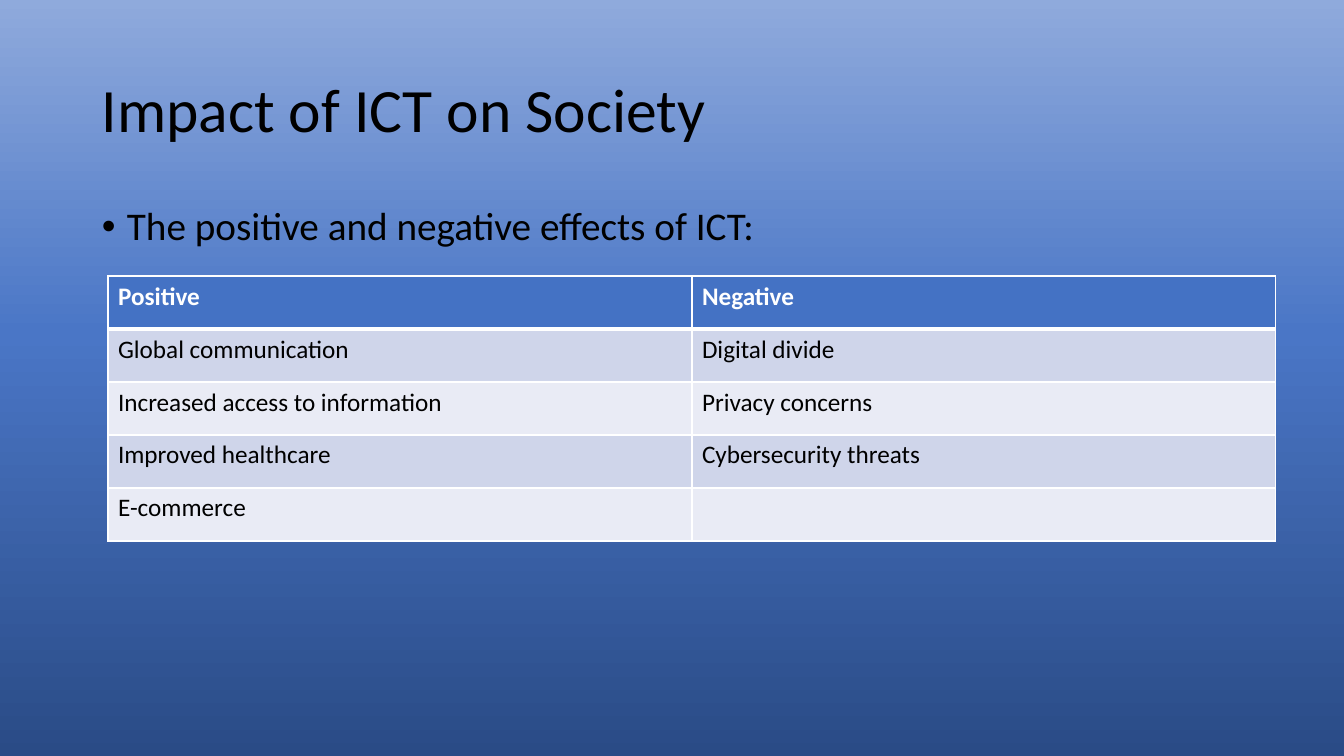
from lxml import etree
from pptx import Presentation
from pptx.dml.color import RGBColor
from pptx.enum.text import MSO_ANCHOR
from pptx.oxml.ns import qn
from pptx.util import Pt

MIDDLE = MSO_ANCHOR.MIDDLE
TOP = MSO_ANCHOR.TOP

SCALE = 12192000 / 1344
BLANK_LAYOUT = 6
BLACK, WHITE, BLUE = "000000", "FFFFFF", "4472C4"
BANDS = ("CFD5EA", "E9EBF5")
GRADIENT = ((0, "2A4B86", 100), (56, "4A76C6", 84), (100, "8FAADC", 100))
EFFECTS = (
    ("Positive", "Negative"),
    ("Global communication", "Digital divide"),
    ("Increased access to information", "Privacy concerns"),
    ("Improved healthcare", "Cybersecurity threats"),
    ("E-commerce", ""),
)


def px(length):
    return round(length * SCALE)


def color(value):
    return RGBColor.from_string(value)


def add_node(parent, tag, **attributes):
    return etree.SubElement(parent, qn(tag), attributes)


class SlideBuilder:
    """Holds the text style and the current slide, and adds elements to it."""

    def __init__(self, page, font="Calibri"):
        self.page = page
        self.font = font

    def background(self, stops, angle):
        fill = self.page.background.fill
        fill.gradient()
        fill.gradient_angle = angle
        stop_list = self.page.element.find(".//" + qn("a:gsLst"))
        stop_list.clear()
        for position, value, opacity in stops:
            stop = add_node(stop_list, "a:gs", pos=str(position * 1000))
            shade = add_node(stop, "a:srgbClr", val=value)
            if opacity < 100:
                add_node(shade, "a:alpha", val=str(opacity * 1000))

    def fill_paragraph(self, paragraph, text, size, value=BLACK, bold=False):
        paragraph.text = text
        font = paragraph.font
        font.name, font.size, font.bold = self.font, Pt(size), bold
        font.color.rgb = color(value)

    def text(self, left, top, width, height, text, size, anchor=TOP, bullet=False):
        box = self.page.shapes.add_textbox(px(left), px(top), px(width), px(height))
        frame = box.text_frame
        frame.word_wrap = True
        frame.vertical_anchor = anchor
        paragraph = frame.paragraphs[0]
        paragraph.line_spacing = 0.9
        if bullet:
            paragraph.space_before = Pt(10)
            properties = paragraph._p.get_or_add_pPr()
            properties.set("marL", str(px(25)))
            properties.set("indent", str(px(-25)))
            add_node(properties, "a:buFont", typeface="Arial")
            add_node(properties, "a:buChar", char="•")
        self.fill_paragraph(paragraph, text, size)

    def border(self, cell, side, points):
        line = add_node(cell._tc.get_or_add_tcPr(), f"a:ln{side}", w=str(int(Pt(points))))
        add_node(add_node(line, "a:solidFill"), "a:srgbClr", val=WHITE)

    def table(self, left, top, column_width, row_height, rows, size):
        columns = len(rows[0])
        table = self.page.shapes.add_table(
            len(rows), columns, px(left), px(top),
            px(column_width * columns), px(row_height * len(rows))).table
        for column in table.columns:
            column.width = px(column_width)
        for index, texts in enumerate(rows):
            table.rows[index].height = px(row_height)
            header = index == 0
            widths = {"L": 1, "R": 1, "T": 3 if index == 1 else 1, "B": 3 if header else 1}
            for place, text in enumerate(texts):
                cell = table.cell(index, place)
                for side, points in widths.items():
                    self.border(cell, side, points)
                cell.fill.solid()
                cell.fill.fore_color.rgb = color(BLUE if header else BANDS[(index - 1) % 2])
                self.fill_paragraph(cell.text_frame.paragraphs[0], text, size,
                                    WHITE if header else BLACK, header)


def main():
    deck = Presentation()
    deck.slide_width, deck.slide_height = px(1344), px(756)
    slide = SlideBuilder(deck.slides.add_slide(deck.slide_layouts[BLANK_LAYOUT]))
    slide.background(GRADIENT, 90)
    slide.text(92, 40, 1159, 146, "Impact of ICT on Society", 44, anchor=MIDDLE)
    slide.text(92, 202, 1159, 480, "The positive and negative effects of ICT:", 28, bullet=True)
    slide.table(108, 276, 584, 53, EFFECTS, 18)
    deck.save("out.pptx")


if __name__ == "__main__":
    main()
